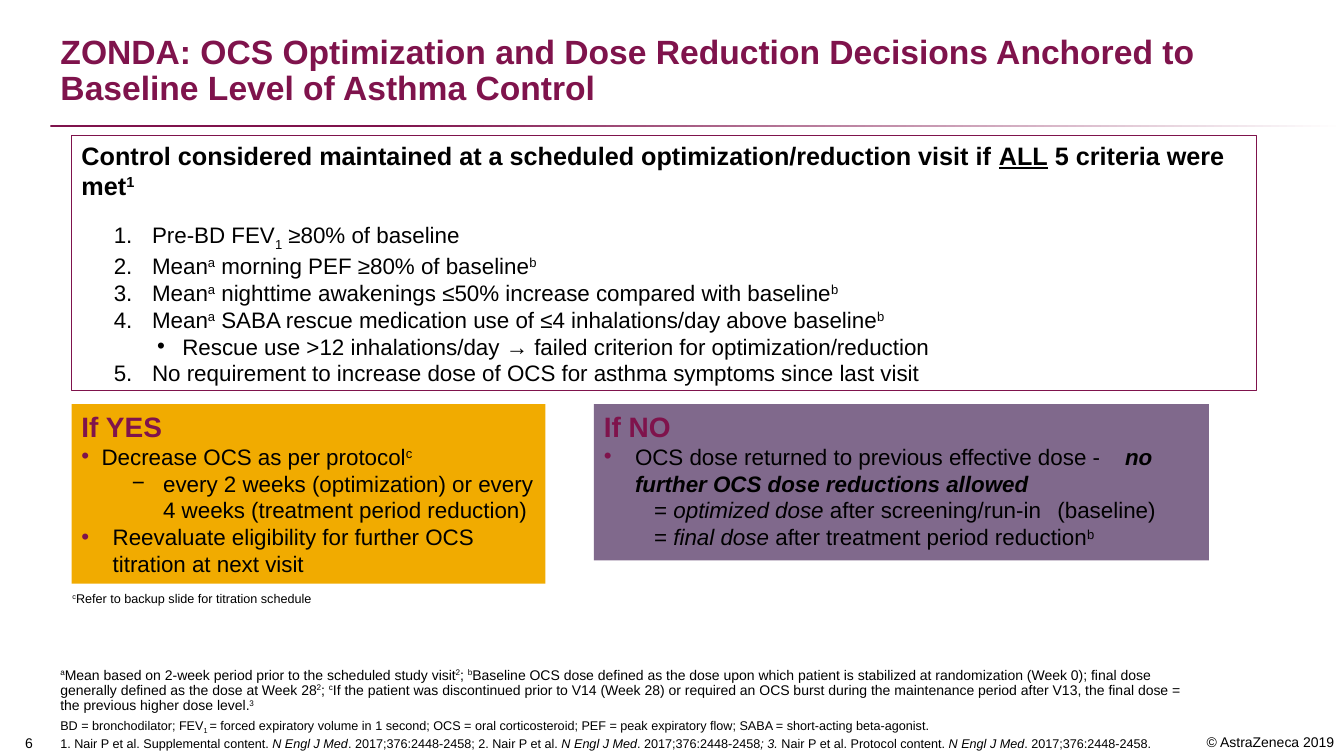
"""Builds the ZONDA slide on OCS optimization and dose reduction decisions."""
from dataclasses import dataclass

from lxml.etree import SubElement
from pptx import Presentation
from pptx.dml.color import RGBColor
from pptx.enum.shapes import MSO_SHAPE
from pptx.enum.text import MSO_ANCHOR as Anchor, MSO_AUTO_SIZE as AutoSize, PP_ALIGN as Align
from pptx.oxml.ns import qn
from pptx.util import Inches, Pt

COLORS = {"plum": "7F134C", "black": "000000", "white": "FFFFFF", "gold": "F1AB00", "violet": "330E46"}
FONT = "Arial"
BASELINES = {"^": "30000", "_": "-25000"}


@dataclass
class Line:
    """One paragraph: runs are (text, flags), flags being b, i, u, ^ (super) and _ (sub)."""
    runs: list
    size: float = 16
    color: str = "black"
    level: int = 0
    margin: float = 0
    hang: float = 0
    bullet: str = ""
    bullet_color: str = ""
    tab: float = 0
    before: float = 0
    spacing: float = 1
    align: Align = Align.LEFT


def criterion(*runs, before=0):
    return Line(list(runs), level=1, margin=0.7, hang=0.38, bullet="1.", before=before)


def heading(text):
    return Line([(text, "b")], size=20, color="plum")


def action(*runs, level=0, margin=0.31, tab=0):
    return Line(list(runs), level=level, margin=margin, hang=margin, bullet="•", bullet_color="plum", tab=tab)


def outcome(*runs, tab=0):
    return Line(list(runs), level=1, margin=0.5, tab=tab)


def footnote(*runs, size=9, before=3):
    return Line(list(runs), size=size, before=before, spacing=0.9)


TITLE = [Line([("ZONDA: OCS Optimization and Dose Reduction Decisions Anchored to "
                "Baseline Level of Asthma Control", "b")], size=24, color="plum", spacing=0.9)]
CRITERIA = [
    Line([("Control considered maintained at a scheduled optimization/reduction visit if ", "b"),
          ("ALL", "bu"), (" 5 criteria were met", "b"), ("1", "b^")], size=18),
    criterion(("Pre-BD FEV", ""), ("1", "_"), (" ≥80% of baseline", ""), before=15),
    criterion(("Mean", ""), ("a", "^"), (" morning PEF ≥80% of baseline", ""), ("b", "^")),
    criterion(("Mean", ""), ("a", "^"), (" nighttime awakenings ≤50% increase compared with baseline", ""),
              ("b", "^")),
    criterion(("Mean", ""), ("a", "^"),
              (" SABA rescue medication use of ≤4 inhalations/day above baseline", ""), ("b", "^")),
    Line([("Rescue use >12 inhalations/day → failed criterion for optimization/reduction", "")],
         level=2, margin=1, hang=0.25, bullet="•"),
    criterion(("No requirement to increase dose of OCS for asthma symptoms since last visit", "")),
]
IF_YES = [
    heading("If YES"),
    action(("Decrease OCS as per protocol", ""), ("c", "^"), margin=0.2),
    Line([("every 2 weeks (optimization) or every 4 weeks (treatment period reduction)", "")],
         level=1, margin=0.81, hang=0.31, bullet="−"),
    action(("Reevaluate eligibility for further OCS titration at next visit", ""), level=1),
]
IF_NO = [
    heading("If NO"),
    action(("OCS dose returned to previous effective dose -\t", ""),
           ("no further OCS dose reductions allowed", "bi"), tab=5.17),
    outcome(("= ", ""), ("optimized dose ", "i"), ("after screening/run-in\t(baseline)", ""), tab=4.52),
    outcome(("= ", ""), ("final dose ", "i"), ("after treatment period reduction", ""), ("b", "^")),
]
SCHEDULE_NOTE = [Line([("c", "^"), ("Refer to backup slide for titration schedule", "")], size=9)]
FOOTNOTES = [
    footnote(("a", "^"), ("Mean based on 2-week period prior to the scheduled study visit", ""), ("2", "^"),
             ("; ", ""), ("b", "^"),
             ("Baseline OCS dose defined as the dose upon which patient is stabilized at randomization "
              "(Week 0); final dose generally defined as the dose at Week 28", ""), ("2", "^"),
             ("; ", ""), ("c", "^"),
             ("If the patient was discontinued prior to V14 (Week 28) or required an OCS burst during the "
              "maintenance period after V13, the final dose = the previous higher dose level.", ""),
             ("3", "^"), size=10, before=0),
    footnote(("BD = bronchodilator; FEV", ""), ("1 ", "_"),
             ("= forced expiratory volume in 1 second; OCS = oral corticosteroid; "
              "PEF = peak expiratory flow; SABA = short-acting beta-agonist.", "")),
    footnote(("1. Nair P et al. Supplemental content. ", ""), ("N Engl J Med", "i"),
             (". 2017;376:2448-2458; 2. Nair P et al. ", ""), ("N Engl J Med", "i"),
             (". 2017;376:2448-2458", ""), ("; 3.", "i"), (" Nair P et al. Protocol content. ", ""),
             ("N Engl J Med", "i"), (". 2017;376:2448-2458.", "")),
]
COPYRIGHT = [Line([("© AstraZeneca 2019", "")], size=10, align=Align.RIGHT)]
PAGE_NUMBER = [Line([("6", "")], size=10, align=Align.CENTER)]

PANELS = [
    ((0.71, 1.34, 11.75, 2.53), CRITERIA, None, "plum", 100),
    ((0.71, 4.01, 4.7, 1.78), IF_YES, "gold", None, 100),
    ((5.89, 4.01, 6.1, 1.55), IF_NO, "violet", None, 62),
]
TEXT_BOXES = [
    ((11.11, 7.23, 2.22, 0.27), COPYRIGHT, Anchor.TOP, 0.1),
    ((0, 7.21, 0.53, 0.29), PAGE_NUMBER, Anchor.BOTTOM, 0.05),
    ((0.5, 6.4, 11.34, 1.1), FOOTNOTES, Anchor.BOTTOM, 0.1),
    ((0.62, 5.81, 2.96, 0.25), SCHEDULE_NOTE, Anchor.TOP, 0.1),
]


def rgb(name):
    return RGBColor.from_string(COLORS[name])


def add_bullet(properties, line):
    if line.bullet_color:
        color = SubElement(properties, qn("a:buClr"))
        SubElement(color, qn("a:srgbClr"), val=COLORS[line.bullet_color])
    if not line.bullet:
        SubElement(properties, qn("a:buNone"))
        return
    SubElement(properties, qn("a:buFont"), typeface=FONT)
    if line.bullet == "1.":
        SubElement(properties, qn("a:buAutoNum"), type="arabicPeriod")
    else:
        SubElement(properties, qn("a:buChar"), char=line.bullet)


def write_lines(frame, lines, anchor, right=0.1):
    frame.word_wrap = True
    frame.auto_size = AutoSize.NONE
    frame.vertical_anchor = anchor
    frame.margin_left, frame.margin_right = Inches(0.1), Inches(right)
    frame.margin_top = frame.margin_bottom = Inches(0.05)
    for index, line in enumerate(lines):
        paragraph = frame.paragraphs[0] if index == 0 else frame.add_paragraph()
        properties = paragraph._p.get_or_add_pPr()
        properties.set("marL", str(Inches(line.margin)))
        properties.set("indent", str(-Inches(line.hang)))
        add_bullet(properties, line)
        if line.tab:
            tabs = SubElement(properties, qn("a:tabLst"))
            SubElement(tabs, qn("a:tab"), pos=str(Inches(line.tab)), algn="l")
        paragraph.level = line.level
        paragraph.alignment = line.align
        paragraph.line_spacing = line.spacing
        paragraph.space_before = Pt(line.before)
        for text, flags in line.runs:
            run = paragraph.add_run()
            run.text = text
            font = run.font
            font.name, font.size = FONT, Pt(line.size)
            font.color.rgb = rgb(line.color)
            font.bold, font.italic, font.underline = "b" in flags, "i" in flags, "u" in flags
            for flag in set(flags) & set(BASELINES):
                run._r.get_or_add_rPr().set("baseline", BASELINES[flag])


def add_rectangle(slide, box):
    shape = slide.shapes.add_shape(MSO_SHAPE.RECTANGLE, *map(Inches, box))
    shape.shadow.inherit = False
    shape.line.fill.background()
    return shape


def add_panel(slide, box, lines, fill, outline, opacity):
    shape = add_rectangle(slide, box)
    if fill:
        shape.fill.solid()
        shape.fill.fore_color.rgb = rgb(fill)
    else:
        shape.fill.background()
    if opacity < 100:
        color = shape._element.spPr.find(qn("a:solidFill"))[0]
        SubElement(color, qn("a:alpha"), val=str(opacity * 1000))
    if outline:
        shape.line.color.rgb = rgb(outline)
        shape.line.width = Pt(0.75)
    write_lines(shape.text_frame, lines, Anchor.TOP)


def main():
    presentation = Presentation()
    presentation.slide_width, presentation.slide_height = Inches(13.33), Inches(7.5)
    slide = presentation.slides.add_slide(presentation.slide_layouts[5])

    title = slide.shapes.title
    title.left, title.top, title.width, title.height = map(Inches, (0.5, 0.25, 12.33, 0.87))
    write_lines(title.text_frame, TITLE, Anchor.BOTTOM)

    rule = add_rectangle(slide, (0.5, 1.24, 12.83, 0.02))
    rule.fill.gradient()
    rule.fill.gradient_angle = 0
    for stop, color, position in zip(rule.fill.gradient_stops, ("plum", "white"), (0.26, 1)):
        stop.color.rgb = rgb(color)
        stop.position = position

    for panel in PANELS:
        add_panel(slide, *panel)
    for box, lines, anchor, right in TEXT_BOXES:
        text_box = slide.shapes.add_textbox(*map(Inches, box))
        write_lines(text_box.text_frame, lines, anchor, right)
    presentation.save("out.pptx")


if __name__ == "__main__":
    main()
